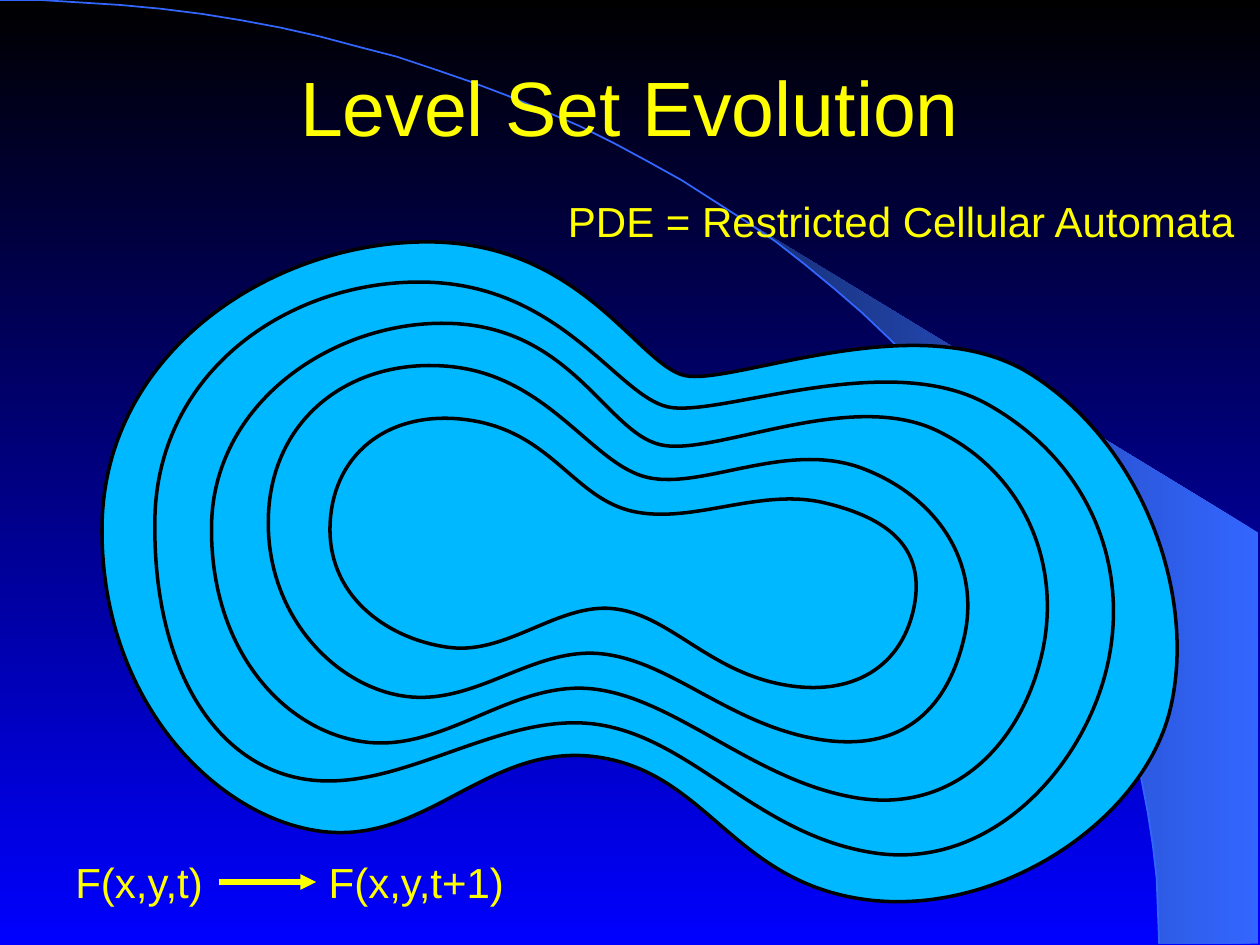
from dataclasses import dataclass
from math import cos, radians, sin

from lxml import etree
from pptx import Presentation
from pptx.dml.color import RGBColor
from pptx.enum.shapes import MSO_CONNECTOR
from pptx.enum.text import MSO_ANCHOR, PP_ALIGN
from pptx.oxml.ns import qn
from pptx.util import Pt

PX = 9144
LEFT, CENTER = PP_ALIGN.LEFT, PP_ALIGN.CENTER
TOP, MIDDLE = MSO_ANCHOR.TOP, MSO_ANCHOR.MIDDLE
STRAIGHT = MSO_CONNECTOR.STRAIGHT

Point = tuple[int, int]


@dataclass(frozen=True)
class Theme:
    font: str = "Arial"
    head: int = 44
    body: int = 24
    text: str = "FFFF00"
    night: str = "000000"
    deep: str = "0000FF"
    beam: str = "3366FF"
    dusk: str = "172F75"
    pool: str = "00B8FF"
    edge: str = "000000"
    thin: int = 1
    rim: int = 2
    thick: int = 3


@dataclass(frozen=True)
class Label:
    text: str
    left: int
    top: int
    width: int
    height: int
    size: int
    align: PP_ALIGN = LEFT
    anchor: MSO_ANCHOR = TOP
    lead: float = 1.0


THEME = Theme()
WIDE, HIGH = 1000, 750
REACH, RISE = 920, 749

LEVELS = [
    [(339, 192), (81, 417), (256, 660), (475, 601),
     (687, 714), (929, 562), (818, 297), (543, 298)],
    [(339, 224), (123, 412), (246, 619), (474, 575),
     (694, 677), (879, 528), (784, 321), (530, 323)],
    [(363, 257), (168, 416), (290, 589), (472, 547),
     (678, 633), (827, 519), (744, 342), (524, 353)],
    [(358, 291), (213, 411), (324, 553), (478, 519),
     (645, 586), (765, 507), (685, 372), (514, 379)],
    [(376, 334), (262, 417), (358, 514), (486, 483),
     (615, 542), (725, 484), (654, 399), (503, 406)],
]
OUTER = [(-122, 0), (-2, 139), (84, 10), (87, 13),
         (105, 14), (21, -90), (-89, -56), (-37, -9)]
INNER = [(-63, -11), (-2, 60), (45, 5), (43, 4),
         (56, 13), (11, -49), (-51, -12), (-47, -10)]

LABELS = [
    Label("Level Set Evolution", 75, 12, 850, 151, THEME.head,
          CENTER, MIDDLE, 0.93),
    Label("F(x,y,t)", 50, 675, 124, 47, THEME.body),
    Label("F(x,y,t+1)", 251, 675, 162, 47, THEME.body),
    Label("PDE = Restricted Cellular Automata", 441, 150, 550, 85, THEME.body),
]


def paint(fill, first: str, last: str, angle: int) -> None:
    fill.gradient()
    fill.gradient_angle = angle
    for stop, tint in zip(fill.gradient_stops, (first, last)):
        stop.color.rgb = RGBColor.from_string(tint)


def ink(line, tint: str, width: int) -> None:
    line.color.rgb = RGBColor.from_string(tint)
    line.width = Pt(width)


def trace(slide, points: list[Point]):
    pen = slide.shapes.build_freeform(*points[0], scale=PX)
    pen.add_line_segments(points[1:], close=points[0] == points[-1])
    shape = pen.convert_to_shape()
    shape.shadow.inherit = False
    return shape


def bend(shape) -> None:
    steps = list(shape._element.iter(qn("a:lnTo")))
    for i in range(0, len(steps), 3):
        curve = etree.Element(qn("a:cubicBezTo"))
        steps[i].addprevious(curve)
        for step in steps[i:i + 3]:
            curve.append(step[0])
            step.getparent().remove(step)


def sweep(end: int) -> list[Point]:
    turns = [radians(deg) for deg in range(0, end + 1, 2)]
    return [(round(REACH * cos(t)), round(RISE - RISE * sin(t)))
            for t in turns]


def draw_wedge(slide) -> None:
    rim = sweep(50)
    shape = trace(slide, rim + [(WIDE - 1, 423), (WIDE - 1, RISE), rim[0]])
    paint(shape.fill, THEME.beam, THEME.dusk, 180)
    shape.line.fill.background()


def draw_arc(slide) -> None:
    shape = trace(slide, sweep(90))
    shape.fill.background()
    ink(shape.line, THEME.beam, THEME.thin)


def mix(start: Point, end: Point, part: float) -> Point:
    x, y = (round(a + (b - a) * part) for a, b in zip(start, end))
    return x, y


def loop(knots: list[Point], arms: list[Point]) -> list[Point]:
    points = [knots[0]]
    for i, (x, y) in enumerate(knots):
        j = (i + 1) % len(knots)
        points += [
            (x + arms[i][0], y + arms[i][1]),
            (knots[j][0] - arms[j][0], knots[j][1] - arms[j][1]),
            knots[j],
        ]
    return points


def draw_level(slide, knots: list[Point], part: float) -> None:
    arms = [mix(a, b, part) for a, b in zip(OUTER, INNER)]
    shape = trace(slide, loop(knots, arms))
    bend(shape)
    shape.fill.solid()
    shape.fill.fore_color.rgb = RGBColor.from_string(THEME.pool)
    ink(shape.line, THEME.edge, THEME.rim)


def draw_label(slide, label: Label) -> None:
    sides = (label.left, label.top, label.width, label.height)
    frame = slide.shapes.add_textbox(*(n * PX for n in sides)).text_frame
    frame.text = label.text
    frame.word_wrap = False
    frame.vertical_anchor = label.anchor
    para = frame.paragraphs[0]
    para.alignment = label.align
    para.line_spacing = label.lead
    font = para.runs[0].font
    font.name = THEME.font
    font.size = Pt(label.size)
    font.color.rgb = RGBColor.from_string(THEME.text)


def draw_arrow(slide, start: Point, end: Point) -> None:
    arrow = slide.shapes.add_connector(
        STRAIGHT, *(n * PX for n in start + end))
    ink(arrow.line, THEME.text, THEME.thick)
    props = arrow._element.spPr
    etree.SubElement(props.find(qn("a:ln")), qn("a:tailEnd"), type="triangle")
    etree.SubElement(props, qn("a:effectLst"))


def main() -> None:
    deck = Presentation()
    deck.slide_width, deck.slide_height = WIDE * PX, HIGH * PX
    slide = deck.slides.add_slide(deck.slide_layouts[6])
    paint(slide.background.fill, THEME.night, THEME.deep, 270)
    draw_wedge(slide)
    draw_arc(slide)
    for i, knots in enumerate(LEVELS):
        draw_level(slide, knots, i / (len(LEVELS) - 1))
    for label in LABELS:
        draw_label(slide, label)
    draw_arrow(slide, (174, 700), (251, 700))
    deck.save("out.pptx")


if __name__ == "__main__":
    main()
